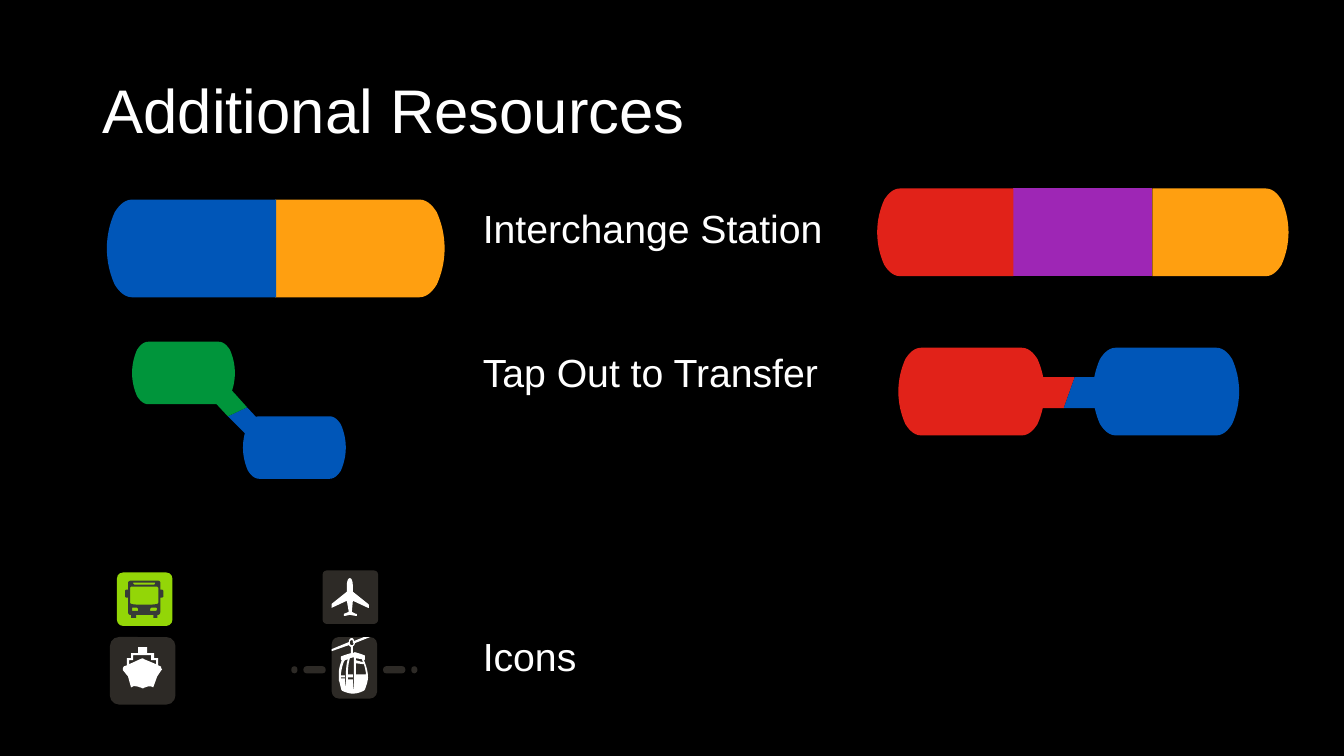
from dataclasses import dataclass

from pptx import Presentation
from pptx.dml.color import RGBColor
from pptx.enum.shapes import MSO_SHAPE
from pptx.enum.text import MSO_ANCHOR
from pptx.util import Inches, Pt

COLORS = {
    "black": "000000", "white": "FFFFFF", "blue": "0056B8", "orange": "FF9F10",
    "green": "00953B", "red": "E12219", "purple": "9E26B5", "lime": "93D607",
    "charcoal": "2D2A26", "slate": "373B37",
}
FONT = "Arial"
CURVE_STEPS = 8
# Half of a station's rounded end, in units of its height.
CAP_START = (0.26, 0)
CAP_CURVES = [[(0.16, 0), (0.1, 0.1), (0.08, 0.13)], [(0.03, 0.24), (0, 0.37), (0, 0.5)]]


@dataclass
class Station:
    left: float
    top: float
    width: float
    height: float
    color: str
    round_left: bool = True
    round_right: bool = True


@dataclass
class Glyph:
    """Outline in inches: M starts a contour, L adds lines, C adds cubic curves."""
    outline: str
    color: str


@dataclass
class Tile:
    left: float
    top: float
    width: float
    height: float
    radius: float
    color: str


@dataclass
class Label:
    text: str
    space_before: float = 0


STATIONS = [
    Station(2.73, 1.98, 1.68, 0.97, "orange", round_left=False),
    Station(1.06, 1.98, 1.68, 0.97, "blue", round_right=False),
    Station(1.31, 3.39, 1.02, 0.62, "green"),
    Station(2.41, 4.13, 1.02, 0.62, "blue"),
    Station(8.91, 3.45, 1.45, 0.87, "red"),
    Station(10.84, 3.45, 1.45, 0.87, "blue"),
    Station(10.05, 1.87, 1.38, 0.87, "purple", round_left=False, round_right=False),
    Station(8.7, 1.87, 1.35, 0.87, "red", round_right=False),
    Station(11.43, 1.87, 1.35, 0.87, "orange", round_left=False),
]
TRANSFER_LINKS = [
    Glyph("M 2.45,4.04 L 2.58,4.18 2.45,4.32 2.26,4.13", "blue"),
    Glyph("M 2.26,4.13 L 2.13,3.99 2.27,3.84 2.45,4.04", "green"),
    Glyph("M 10.55,4.05 L 10.29,4.05 10.29,3.74 10.66,3.74", "red"),
    Glyph("M 10.66,3.74 L 10.92,3.74 10.92,4.05 10.55,4.05", "blue"),
]
TILES = [
    Tile(3.2, 5.66, 0.55, 0.53, 0.04, "charcoal"),
    Tile(1.16, 5.68, 0.55, 0.53, 0.06, "lime"),
    Tile(1.09, 6.32, 0.65, 0.67, 0.09, "charcoal"),
    Tile(3.29, 6.32, 0.45, 0.61, 0.07, "charcoal"),
]
CABLE_DASHES = [
    Tile(left, 6.61, width, 0.07, 0.03, "charcoal")
    for left, width in [(2.89, 0.06), (3.01, 0.22), (3.8, 0.22), (4.08, 0.06)]
]
PLANE = """M 3.5,5.81 L 3.5,5.87 3.65,5.99 3.66,6 3.66,6.03 3.65,6.03 3.5,5.96 3.49,6.07
    3.53,6.09 3.54,6.09 3.54,6.11 3.53,6.11 3.47,6.1 3.42,6.11 3.41,6.11 3.41,6.09 3.46,6.07
    3.44,5.96 3.29,6.03 3.29,5.99 3.44,5.87 3.44,5.81 C 3.44,5.71 3.5,5.71 3.5,5.81"""
BUS_OPENINGS = """M 1.57,5.98 C 1.57,5.99 1.56,6 1.43,6 1.3,6 1.29,5.99 1.29,5.98
    L 1.29,5.83 1.3,5.82 1.56,5.82 1.57,5.83
    M 1.56,6.04 L 1.55,6.06 1.49,6.06 1.49,6.04 1.5,6.03 1.55,6.03
    M 1.37,6.06 L 1.31,6.06 1.31,6.03 1.36,6.03 1.37,6.04
    M 1.32,5.78 L 1.54,5.78 1.54,5.79 1.53,5.8 1.33,5.8 1.32,5.79 """
BUS_BODY = """M 1.61,5.85 L 1.59,5.85 1.59,5.78 C 1.59,5.77 1.58,5.76 1.56,5.76
    L 1.3,5.76 C 1.29,5.76 1.27,5.77 1.27,5.78 L 1.27,5.85 1.25,5.85 1.24,5.86
    1.24,5.92 1.25,5.93 1.27,5.93 1.27,6.07 C 1.27,6.09 1.28,6.1 1.29,6.1
    L 1.3,6.1 1.3,6.13 1.35,6.13 1.35,6.1 1.52,6.1 1.52,6.13 1.56,6.13 1.56,6.1
    1.57,6.1 C 1.58,6.1 1.59,6.09 1.59,6.07 L 1.59,5.93 1.61,5.93 1.62,5.92 1.62,5.86"""
FERRY_CABIN = """M 1.28,6.55 L 1.32,6.55 1.32,6.5 1.5,6.5 1.5,6.55 1.55,6.55 1.55,6.59
    1.43,6.54 C 1.42,6.53 1.41,6.53 1.39,6.54 L 1.28,6.59 """
FERRY_HULL = """M 1.27,6.71 L 1.3,6.82 C 1.32,6.81 1.33,6.8 1.35,6.81 1.36,6.81 1.37,6.81 1.39,6.82
    1.4,6.82 1.41,6.83 1.42,6.83 1.42,6.83 1.43,6.82 1.44,6.82
    1.46,6.81 1.47,6.81 1.48,6.81 1.5,6.81 1.51,6.81 1.52,6.82
    L 1.56,6.71 1.6,6.65 C 1.61,6.64 1.61,6.64 1.6,6.63 1.6,6.62 1.6,6.61 1.59,6.61
    L 1.57,6.6 1.57,6.53 1.53,6.53 1.53,6.48 1.46,6.48 1.46,6.42 1.37,6.42 1.37,6.48
    1.3,6.48 1.3,6.53 1.26,6.53 1.26,6.6 1.23,6.61
    C 1.23,6.61 1.22,6.62 1.22,6.63 1.22,6.64 1.22,6.64 1.22,6.65"""
GONDOLA_BODY = """M 3.61,6.32 L 3.67,6.32 3.52,6.38 C 3.52,6.39 3.51,6.41 3.5,6.41
    L 3.5,6.48 3.52,6.47 C 3.52,6.47 3.59,6.49 3.61,6.5 3.62,6.5 3.62,6.51 3.62,6.53
    3.62,6.55 3.61,6.55 3.61,6.55 3.64,6.62 3.65,6.68 3.65,6.72 3.65,6.76 3.63,6.81 3.62,6.84
    3.61,6.86 3.54,6.88 3.52,6.88 3.48,6.89 3.4,6.86 3.39,6.85 3.38,6.84 3.37,6.76 3.36,6.75
    3.36,6.73 3.36,6.71 3.36,6.68 3.36,6.62 3.39,6.55 3.39,6.55 3.39,6.55 3.38,6.55 3.38,6.53
    3.38,6.52 3.38,6.51 3.39,6.51 3.41,6.5 3.48,6.48 3.48,6.48
    L 3.48,6.42 3.46,6.4 3.29,6.46 3.29,6.44 3.46,6.37
    C 3.46,6.35 3.47,6.33 3.49,6.33 3.5,6.33 3.51,6.34 3.51,6.36 """
GONDOLA_OPENINGS = """M 3.47,6.37 C 3.47,6.36 3.48,6.35 3.49,6.35 3.49,6.35 3.5,6.35 3.5,6.36
    L 3.5,6.38 3.51,6.38 3.5,6.4 3.48,6.4 3.47,6.39
    M 3.43,6.82 C 3.43,6.82 3.42,6.78 3.42,6.73 L 3.38,6.73 3.38,6.72 3.42,6.72 3.42,6.7
    3.38,6.7 C 3.38,6.7 3.39,6.59 3.42,6.55 L 3.45,6.54 C 3.45,6.54 3.43,6.59 3.43,6.71
    M 3.47,6.53 C 3.47,6.53 3.45,6.59 3.45,6.69 L 3.5,6.69 3.5,6.72 3.45,6.72 3.45,6.74
    3.5,6.74 C 3.5,6.74 3.5,6.82 3.51,6.86 L 3.51,6.52
    M 3.53,6.69 L 3.53,6.58 3.61,6.59 C 3.61,6.59 3.63,6.66 3.63,6.69
    M 3.53,6.55 L 3.53,6.53 3.59,6.54 3.6,6.57"""
GLYPHS = [Glyph(PLANE, "white"), Glyph(BUS_OPENINGS + BUS_BODY, "slate"),
          Glyph(FERRY_CABIN + FERRY_HULL, "white"), Glyph(GONDOLA_BODY + GONDOLA_OPENINGS, "white")]
LABELS = [Label("Interchange Station"), Label("Tap Out to Transfer", 69.2), Label("Icons", 169.2)]
Point = tuple[float, float]


def rgb(name: str) -> RGBColor:
    return RGBColor.from_string(COLORS[name])


def paint(shape, color: str) -> None:
    shape.shadow.inherit = False
    shape.fill.solid()
    shape.fill.fore_color.rgb = rgb(color)
    shape.line.fill.background()


def curve_points(start: Point, controls: list[Point]) -> list[Point]:
    """Sample a cubic curve, leaving out its start."""
    points = []
    for step in range(1, CURVE_STEPS + 1):
        t = step / CURVE_STEPS
        weights = ((1 - t) ** 3, 3 * t * (1 - t) ** 2, 3 * t * t * (1 - t), t ** 3)
        corners = (start, *controls)
        points.append(tuple(sum(w * c[axis] for w, c in zip(weights, corners)) for axis in (0, 1)))
    return points


def glyph_contours(outline: str) -> list[list[Point]]:
    contours, mode, controls = [], "", []
    for word in outline.split():
        if word in "MLC":
            mode = word
            continue
        x, y = word.split(",")
        point = (float(x), float(y))
        if mode == "M":
            contours.append([point])
        elif mode == "L":
            contours[-1].append(point)
        else:
            controls.append(point)
            if len(controls) == 3:
                contours[-1] += curve_points(contours[-1][-1], controls)
                controls = []
    return contours


def station_contour(station: Station) -> list[Point]:
    half_cap = [CAP_START]
    for controls in CAP_CURVES:
        half_cap += curve_points(half_cap[-1], controls)
    cap = half_cap + [(x, 1 - y) for x, y in reversed(half_cap[:-1])]
    square = [(0, 0), (0, 1)]
    left_end = cap if station.round_left else square
    right_end = cap if station.round_right else square
    height, right = station.height, station.left + station.width
    return ([(station.left + x * height, station.top + y * height) for x, y in left_end]
            + [(right - x * height, station.top + y * height) for x, y in reversed(right_end)])


def add_outline(page, contours: list[list[Point]], color: str) -> None:
    contours = [[(Inches(x), Inches(y)) for x, y in contour] for contour in contours]
    builder = page.shapes.build_freeform(*contours[0][0], scale=1.0)
    for index, contour in enumerate(contours):
        if index:
            builder.move_to(*contour[0])
        builder.add_line_segments(contour[1:], close=True)
    paint(builder.convert_to_shape(), color)


def add_tile(page, tile: Tile) -> None:
    box = page.shapes.add_shape(MSO_SHAPE.ROUNDED_RECTANGLE, Inches(tile.left), Inches(tile.top),
                                Inches(tile.width), Inches(tile.height))
    box.adjustments[0] = tile.radius / min(tile.width, tile.height)
    paint(box, tile.color)


def add_text(page, left: float, top: float, width: float, height: float, size: float,
             labels: list[Label], anchor: MSO_ANCHOR, line_spacing: float) -> None:
    box = page.shapes.add_textbox(Inches(left), Inches(top), Inches(width), Inches(height))
    frame = box.text_frame
    frame.word_wrap = True
    frame.vertical_anchor = anchor
    for index, label in enumerate(labels):
        para = frame.add_paragraph() if index else frame.paragraphs[0]
        para.line_spacing = line_spacing
        if label.space_before:
            para.space_before = Pt(label.space_before)
        span = para.add_run()
        span.text = label.text
        span.font.name, span.font.size = FONT, Pt(size)
        span.font.color.rgb = rgb("white")


def main() -> None:
    deck = Presentation()
    deck.slide_width, deck.slide_height = Inches(13.33), Inches(7.5)
    page = deck.slides.add_slide(deck.slide_layouts[6])
    page.background.fill.solid()
    page.background.fill.fore_color.rgb = rgb("black")
    add_text(page, 0.92, 0.4, 11.5, 1.45, 44, [Label("Additional Resources")], MSO_ANCHOR.MIDDLE, 0.9)
    add_text(page, 4.69, 1.98, 4.43, 4.81, 28, LABELS, MSO_ANCHOR.TOP, 1.0)
    for station in STATIONS:
        add_outline(page, [station_contour(station)], station.color)
    for tile in TILES + CABLE_DASHES:
        add_tile(page, tile)
    for glyph in TRANSFER_LINKS + GLYPHS:
        add_outline(page, glyph_contours(glyph.outline), glyph.color)
    deck.save("out.pptx")


if __name__ == "__main__":
    main()
